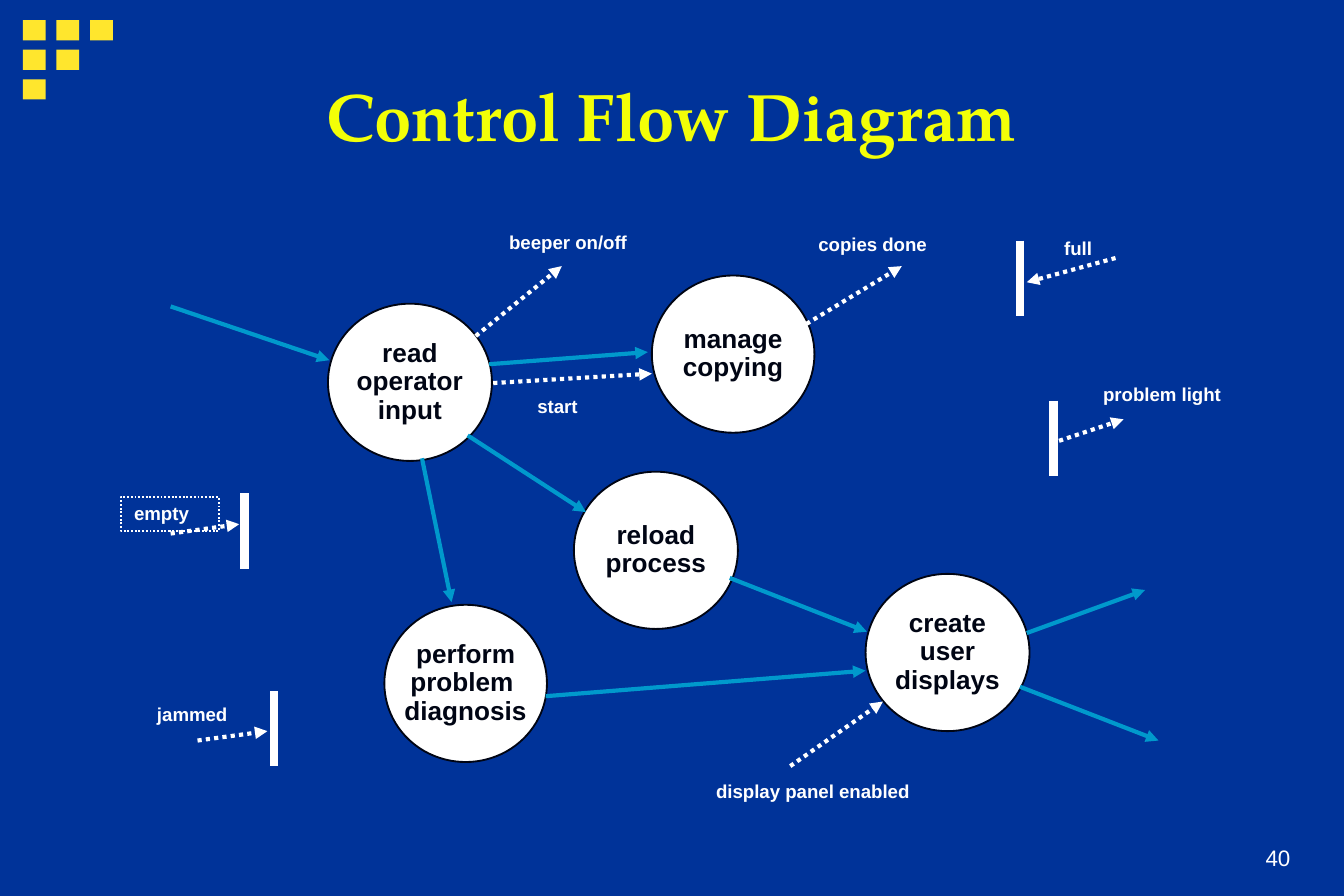
"""Build the Control Flow Diagram slide."""
from typing import NamedTuple

from lxml.etree import SubElement
from pptx import Presentation
from pptx.dml.color import RGBColor
from pptx.enum.dml import MSO_LINE
from pptx.enum.shapes import MSO_CONNECTOR, MSO_SHAPE
from pptx.enum.text import MSO_ANCHOR, MSO_AUTO_SIZE, PP_ALIGN
from pptx.oxml.ns import qn
from pptx.util import Inches, Pt

NAVY = RGBColor(0x00, 0x33, 0x99)
GOLD = RGBColor(0xFF, 0xE6, 0x2D)
YELLOW = RGBColor(0xF3, 0xFF, 0x07)
WHITE = RGBColor(0xFF, 0xFF, 0xFF)
INK = RGBColor(0x00, 0x05, 0x14)
CYAN = RGBColor(0x00, 0x99, 0xCC)


class Process(NamedTuple):
    text: str
    left: float
    top: float
    width: float = 1.22


class Flow(NamedTuple):
    x1: float
    y1: float
    x2: float
    y2: float


class Label(NamedTuple):
    text: str
    left: float
    top: float
    width: float
    boxed: bool = False


PROCESSES = [
    Process("read\noperator\ninput", 2.44, 2.26),
    Process("create\nuser\ndisplays", 6.44, 4.27),
    Process("perform\nproblem \ndiagnosis", 2.86, 4.5, 1.21),
    Process("reload\nprocess", 4.27, 3.51),
    Process("manage\ncopying", 4.85, 2.05, 1.21),
]
DATA_FLOWS = [
    Flow(1.27, 2.28, 2.45, 2.68),
    Flow(3.14, 3.41, 3.36, 4.48),
    Flow(3.48, 3.24, 4.36, 3.81),
    Flow(3.64, 2.71, 4.82, 2.62),
    Flow(4.06, 5.18, 6.44, 4.99),
    Flow(5.43, 4.3, 6.45, 4.7),
    Flow(7.59, 5.11, 8.62, 5.51),
    Flow(7.64, 4.71, 8.52, 4.39),
]
CONTROL_FLOWS = [
    Flow(3.54, 2.5, 4.18, 1.98),
    Flow(3.67, 2.85, 4.85, 2.78),
    Flow(6, 2.41, 6.71, 1.98),
    Flow(5.88, 5.7, 6.57, 5.22),
    Flow(7.88, 3.28, 8.36, 3.12),
    Flow(8.3, 1.92, 7.64, 2.1),
    Flow(1.27, 3.97, 1.78, 3.9),
    Flow(1.47, 5.51, 1.99, 5.44),
]
CONTROL_BARS = [(1.82, 3.67), (2.04, 5.14), (7.59, 1.79), (7.84, 2.98)]
BAR_HEIGHT = 0.56
LABELS = [
    Label("beeper on/off", 3.69, 1.69, 1.1),
    Label("start", 3.9, 2.91, 0.52),
    Label("copies done", 5.99, 1.7, 1.08),
    Label("display panel enabled", 5.23, 5.77, 2.01),
    Label("full", 7.82, 1.73, 0.54),
    Label("problem light", 8.11, 2.82, 1.26),
    Label("empty", 0.9, 3.7, 0.73, boxed=True),
    Label("jammed", 1.07, 5.2, 0.73),
]


def write_text(sp, text, *, size, color, font="Arial", bold=True,
               align=PP_ALIGN.LEFT, anchor=MSO_ANCHOR.TOP, spacing=0.9,
               wrap=True, grow=False, insets=(0.1, 0.05)) -> None:
    """Fill a shape with formatted text, one paragraph a line."""
    tf = sp.text_frame
    tf.text = text
    tf.word_wrap = wrap
    tf.vertical_anchor = anchor
    tf.auto_size = MSO_AUTO_SIZE.SHAPE_TO_FIT_TEXT if grow else MSO_AUTO_SIZE.NONE
    tf.margin_left = tf.margin_right = Inches(insets[0])
    tf.margin_top = tf.margin_bottom = Inches(insets[1])
    for p in tf.paragraphs:
        p.alignment = align
        p.line_spacing = spacing
        p.space_before = Pt(0)
        for r in p.runs:
            r.font.name = font
            r.font.size = Pt(size)
            r.font.bold = bold
            r.font.color.rgb = color


def place(sp, left: float, top: float, width: float, height: float) -> None:
    """Set the position and size of a shape in inches."""
    sp.left, sp.top = Inches(left), Inches(top)
    sp.width, sp.height = Inches(width), Inches(height)


def add_corner_squares(s) -> None:
    """Draw the stepped triangle of squares in the corner."""
    for row in range(3):
        for col in range(3 - row):
            sp = s.shapes.add_shape(
                MSO_SHAPE.RECTANGLE, Inches(0.17 + 0.25 * col),
                Inches(0.15 + 0.22 * row), Inches(0.17), Inches(0.15))
            sp.shadow.inherit = False
            sp.fill.solid()
            sp.fill.fore_color.rgb = GOLD
            sp.line.fill.background()


def add_process(s, process: Process) -> None:
    """Draw one process bubble."""
    sp = s.shapes.add_shape(MSO_SHAPE.OVAL, Inches(process.left),
                            Inches(process.top), Inches(process.width),
                            Inches(1.17))
    sp.shadow.inherit = False
    sp.fill.solid()
    sp.fill.fore_color.rgb = WHITE
    sp.line.color.rgb = INK
    sp.line.width = Pt(1)
    write_text(sp, process.text, size=14, color=INK, align=PP_ALIGN.CENTER,
               anchor=MSO_ANCHOR.MIDDLE, wrap=False)


def add_line(s, flow: Flow, color: RGBColor, width: float = 2.25,
             dotted: bool = False, arrow: bool = True) -> None:
    """Draw a straight line, optionally dotted or with an arrowhead."""
    c = s.shapes.add_connector(MSO_CONNECTOR.STRAIGHT, *map(Inches, flow))
    c.line.color.rgb = color
    c.line.width = Pt(width)
    if dotted:
        c.line.dash_style = MSO_LINE.ROUND_DOT
    spPr = c.element.spPr
    if arrow:
        SubElement(spPr.find(qn("a:ln")), qn("a:tailEnd"), type="triangle")
    SubElement(spPr, qn("a:effectLst"))


def add_label(s, label: Label) -> None:
    """Draw one signal label, with a dotted frame if it is boxed."""
    sp = s.shapes.add_textbox(Inches(label.left), Inches(label.top),
                              Inches(label.width), Inches(0.25))
    if label.boxed:
        sp.line.color.rgb = WHITE
        sp.line.width = Pt(1)
        sp.line.dash_style = MSO_LINE.ROUND_DOT
    write_text(sp, label.text, size=10, color=WHITE, grow=True)


def main() -> None:
    """Build and save the slide."""
    prs = Presentation()
    prs.slide_width, prs.slide_height = Inches(10), Inches(20 / 3)
    s = prs.slides.add_slide(prs.slide_layouts[5])
    s.background.fill.solid()
    s.background.fill.fore_color.rgb = NAVY

    add_corner_squares(s)
    number = s.shapes.add_textbox(Inches(9.01), Inches(6.07),
                                  Inches(0.69), Inches(0.46))
    write_text(number, "40", size=12, color=WHITE, bold=False, spacing=1.0,
               align=PP_ALIGN.RIGHT, anchor=MSO_ANCHOR.BOTTOM)
    title = s.shapes.title
    place(title, 2.33, 0.52, 5.33, 0.66)
    write_text(title, "Control Flow Diagram", size=36, color=YELLOW,
               font="TeX Gyre Pagella", align=PP_ALIGN.CENTER, spacing=1.0,
               grow=True, insets=(0.07, 0.03))

    for process in PROCESSES:
        add_process(s, process)
    for flow in DATA_FLOWS:
        add_line(s, flow, CYAN)
    for x, y in CONTROL_BARS:
        add_line(s, Flow(x, y, x, y + BAR_HEIGHT), WHITE, width=4.5, arrow=False)
    for flow in CONTROL_FLOWS:
        add_line(s, flow, WHITE, dotted=True)
    for label in LABELS:
        add_label(s, label)
    prs.save("out.pptx")


if __name__ == "__main__":
    main()
